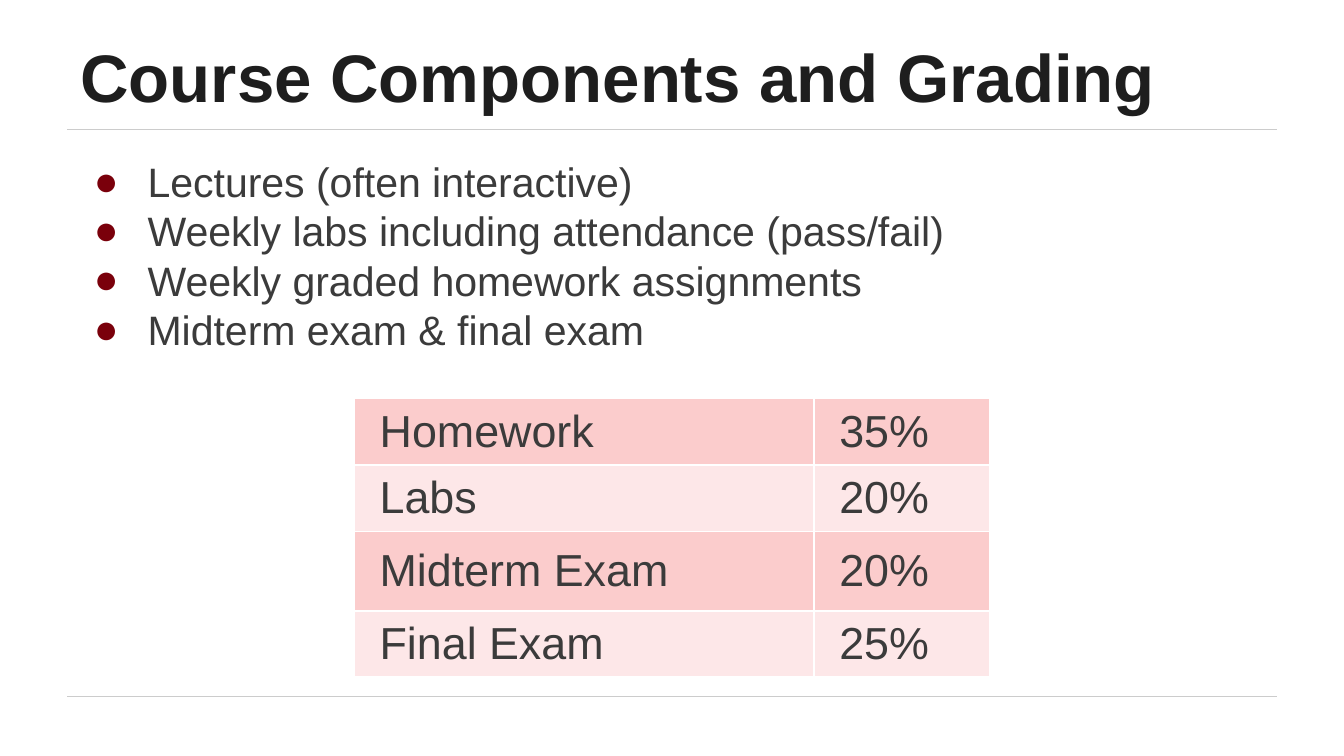
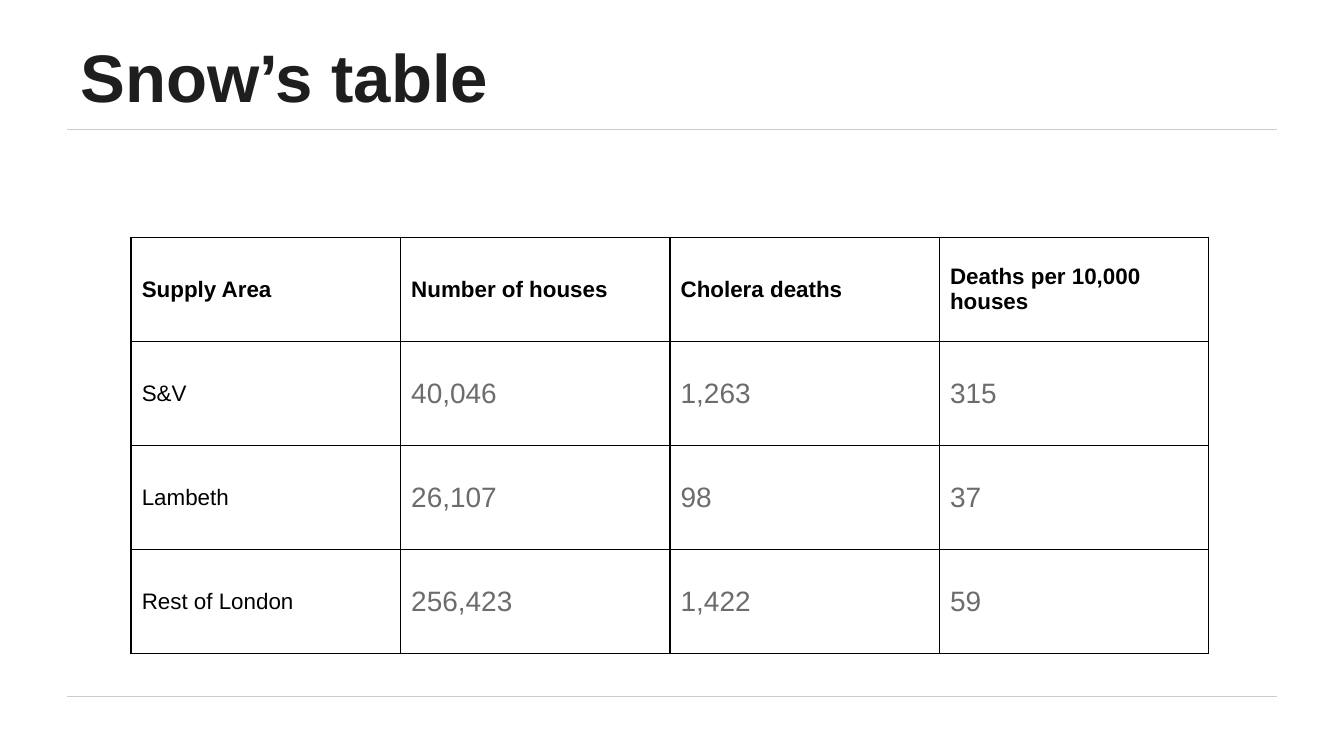
import lxml.etree
import pptx
import pptx.dml.color
import pptx.enum.shapes
import pptx.enum.text
import pptx.oxml.ns
import pptx.util

# Scale and shared style: 200 px to the inch
PX = 4572
FONT = "Arial"

WHITE = pptx.dml.color.RGBColor(0xFF, 0xFF, 0xFF)
BLACK = pptx.dml.color.RGBColor(0x00, 0x00, 0x00)
RULE_GRAY = pptx.dml.color.RGBColor(0xCC, 0xCC, 0xCC)
TITLE_INK = pptx.dml.color.RGBColor(0x1E, 0x1E, 0x1E)
BODY_INK = pptx.dml.color.RGBColor(0x3B, 0x3B, 0x3B)
NUMBER_GRAY = pptx.dml.color.RGBColor(0x6C, 0x6C, 0x6C)
BULLET_RED = pptx.dml.color.RGBColor(0x7A, 0x00, 0x0B)
PINK = pptx.dml.color.RGBColor(0xFB, 0xCC, 0xCC)
PALE_PINK = pptx.dml.color.RGBColor(0xFD, 0xE7, 0xE8)

ANCHOR = pptx.enum.text.MSO_ANCHOR
JUSTIFY = pptx.enum.text.PP_ALIGN.JUSTIFY

TITLE = {"size": 36, "color": TITLE_INK, "bold": True}
BODY = {"size": 22, "color": BODY_INK, "bold": False}
GRADE = {"size": 24, "color": BODY_INK, "bold": False}
HEADER = {"size": 12, "color": BLACK, "bold": True}
AREA = {"size": 12, "color": BLACK, "bold": False}
NUMBER = {"size": 15, "color": NUMBER_GRAY, "bold": False}


def px(length):
    return pptx.util.Emu(length * PX)


def set_values(target, values):
    for name, value in values.items():
        setattr(target, name, value)


def add_xml(parent, tag, **attributes):
    return lxml.etree.SubElement(parent, pptx.oxml.ns.qn(tag), attributes)


def write(para, text, style):
    span = para.add_run()
    span.text = text
    set_values(span.font, {"name": FONT, "bold": style["bold"],
                           "size": pptx.util.Pt(style["size"])})
    span.font.color.rgb = style["color"]


def set_margins(target, across, down):
    set_values(target, {"margin_left": px(across), "margin_right": px(across),
                        "margin_top": px(down), "margin_bottom": px(down)})


# Text
def add_text(page, left, top, width, height, lines, style,
             anchor=ANCHOR.TOP, bulleted=False):
    box = page.shapes.add_textbox(px(left), px(top), px(width), px(height))
    frame = box.text_frame
    set_values(frame, {"word_wrap": True, "vertical_anchor": anchor})
    set_margins(frame, 20, 20)
    for index, line in enumerate(lines):
        para = frame.add_paragraph() if index else frame.paragraphs[0]
        if bulleted:
            add_bullet(para)
        write(para, line, style)


def add_bullet(para):
    properties = para._p.get_or_add_pPr()
    properties.set("marL", str(px(100)))
    properties.set("indent", str(px(-80)))
    add_xml(add_xml(properties, "a:buClr"), "a:srgbClr", val=str(BULLET_RED))
    add_xml(properties, "a:buFont", typeface=FONT)
    add_xml(properties, "a:buChar", char="●")


def add_title(page, text, width):
    add_text(page, 100, 45, width, 148, [text], TITLE, ANCHOR.BOTTOM)


# Rules above and below the content
def add_rule(page, top):
    rule = page.shapes.add_connector(
        pptx.enum.shapes.MSO_CONNECTOR.STRAIGHT,
        px(100), px(top), px(1900), px(top))
    rule.line.color.rgb = RULE_GRAY
    rule.line.width = pptx.util.Pt(0.75)
    add_xml(rule._element.spPr, "a:effectLst")


def add_page(deck):
    page = deck.slides.add_slide(deck.slide_layouts[6])
    for top in (193, 1037):
        add_rule(page, top)
    return page


# Tables
def add_borders(cell, color, width):
    properties = cell._tc.get_or_add_tcPr()
    for side in ("a:lnL", "a:lnR", "a:lnT", "a:lnB"):
        border = add_xml(properties, side, w=str(pptx.util.Pt(width)))
        add_xml(add_xml(border, "a:solidFill"), "a:srgbClr", val=str(color))


def add_table(page, left, top, columns, rows, values, border):
    table = page.shapes.add_table(
        len(rows), len(columns), px(left), px(top),
        px(sum(columns)), px(sum(rows))).table
    set_values(table, {"first_row": False, "horz_banding": False})
    for column, width in zip(table.columns, columns):
        column.width = px(width)
    for row, height, texts in zip(table.rows, rows, values):
        row.height = px(height)
        for cell, text in zip(row.cells, texts):
            cell.vertical_anchor = ANCHOR.MIDDLE
            add_borders(cell, *border)
            yield cell, text


def add_grades_table(page):
    grades = [("Homework", "35%"), ("Labs", "20%"),
              ("Midterm Exam", "20%"), ("Final Exam", "25%")]
    columns = (684, 262)
    cells = add_table(page, 527, 593, columns, (99, 99, 118, 99),
                      grades, (WHITE, 1))
    for index, (cell, text) in enumerate(cells):
        set_margins(cell, 38, 0)
        cell.fill.solid()
        odd_row = index // len(columns) % 2
        cell.fill.fore_color.rgb = PALE_PINK if odd_row else PINK
        para = cell.text_frame.paragraphs[0]
        para.alignment = JUSTIFY
        write(para, text, GRADE)


def add_cholera_table(page):
    supply = [
        ("Supply Area", "Number of houses", "Cholera deaths",
         "Deaths per 10,000 houses"),
        ("S&V", "40,046", "1,263", "315"),
        ("Lambeth", "26,107", "98", "37"),
        ("Rest of London", "256,423", "1,422", "59"),
    ]
    columns = [401] * 4
    cells = add_table(page, 195, 353, columns, [155] * 4, supply,
                      (BLACK, 0.75))
    for index, (cell, text) in enumerate(cells):
        row, column = divmod(index, len(columns))
        set_margins(cell, 8, 6)
        cell.fill.background()
        para = cell.text_frame.paragraphs[0]
        para._p.get_or_add_pPr().set("marL", str(px(8)))
        write(para, text, HEADER if row == 0 else NUMBER if column else AREA)


def main():
    deck = pptx.Presentation()
    set_values(deck, {"slide_width": px(2000), "slide_height": px(1125)})

    # Course components and grading
    page = add_page(deck)
    add_title(page, "Course Components and Grading", 1650)
    add_text(page, 100, 213, 1800, 338, [
        "Lectures (often interactive)",
        "Weekly labs including attendance (pass/fail)",
        "Weekly graded homework assignments",
        "Midterm exam & final exam",
    ], BODY, bulleted=True)
    add_grades_table(page)

    # Cholera deaths by water supply
    page = add_page(deck)
    add_cholera_table(page)
    add_title(page, "Snow’s table", 1466)

    deck.save("out.pptx")


if __name__ == "__main__":
    main()
